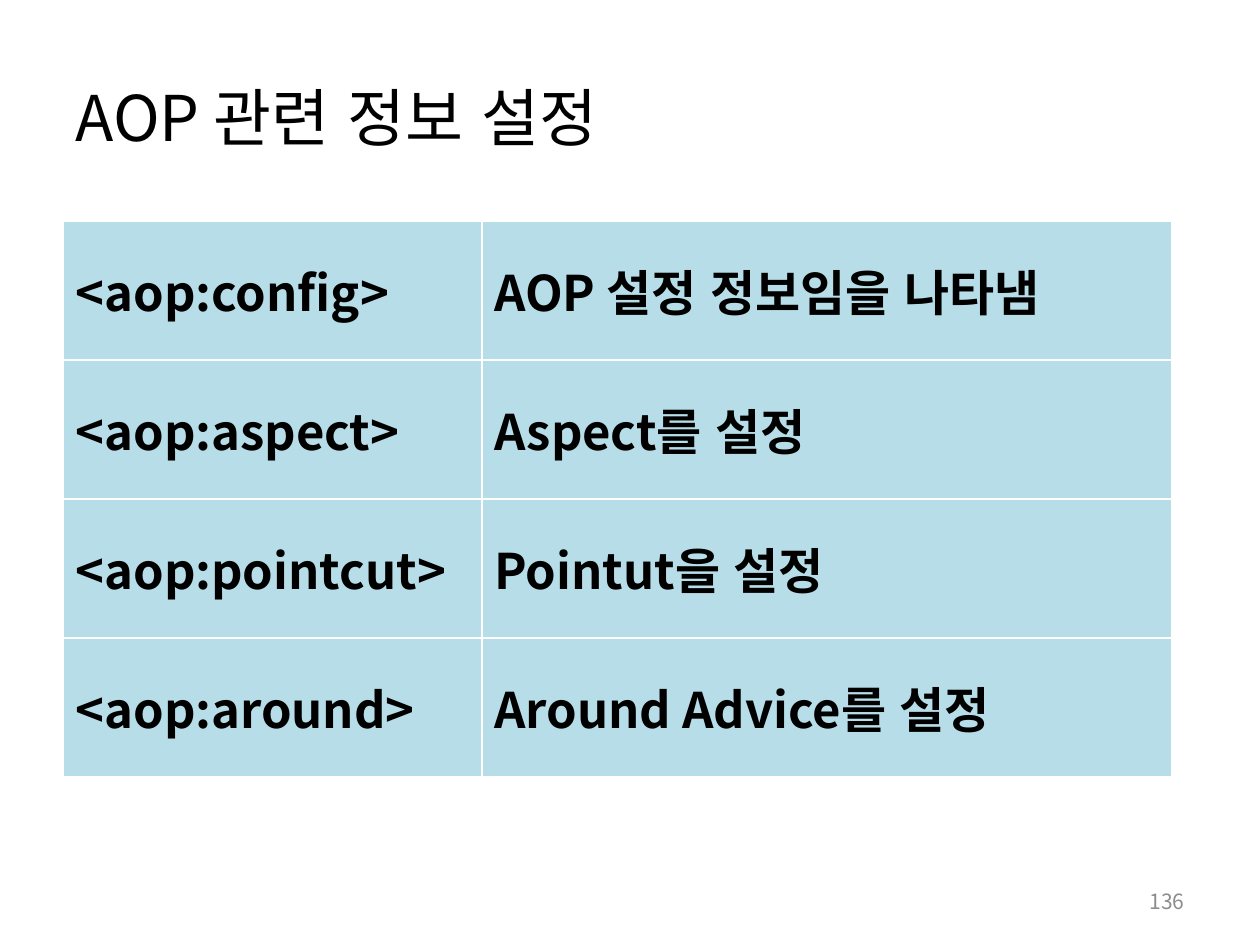
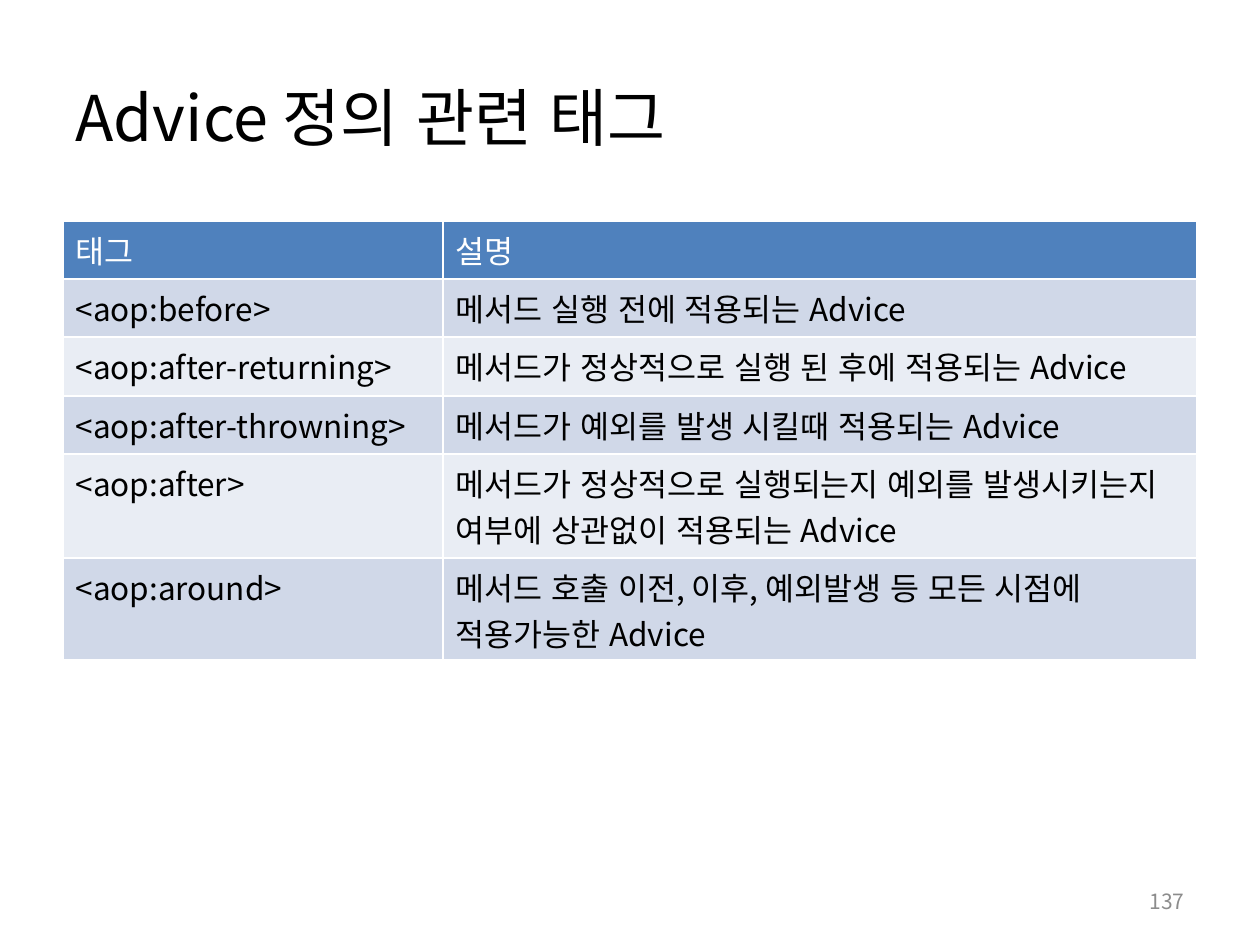
import pptx
import pptx.util
import pptx.dml.color
import pptx.enum.lang
import pptx.enum.text
import pptx.oxml
import pptx.oxml.ns

ANCHOR = pptx.enum.text.MSO_ANCHOR
ALIGN = pptx.enum.text.PP_ALIGN
KOREAN = pptx.enum.lang.MSO_LANGUAGE_ID.KOREAN
FONT = "Noto Sans CJK KR"
COLORS = {
    "ink": "000000",
    "white": "FFFFFF",
    "number": "8C8C8C",
    "aqua": "B7DEE8",
    "head": "4F81BD",
    "odd": "D0D8E8",
    "even": "E9EDF4",
}
TITLE_BOX = (63, 38, 1134, 157)
NUMBER_BOX = (903, 876, 294, 50)
TABLE_AT = (63, 221)

CONFIG_ROWS = [
    ("<aop:config>", "AOP 설정 정보임을 나타냄"),
    ("<aop:aspect>", "Aspect를 설정"),
    ("<aop:pointcut>", "Pointut을 설정"),
    ("<aop:around>", "Around Advice를 설정"),
]
ADVICE_ROWS = [
    ("태그", "설명"),
    ("<aop:before>", "메서드 실행 전에 적용되는 Advice"),
    ("<aop:after-returning>", "메서드가 정상적으로 실행 된 후에 적용되는 Advice"),
    ("<aop:after-throwning>", "메서드가 예외를 발생 시킬때 적용되는 Advice"),
    ("<aop:after>", "메서드가 정상적으로 실행되는지 예외를 발생시키는지 여부에 상관없이 적용되는 Advice"),
    ("<aop:around>", "메서드 호출 이전, 이후, 예외발생 등 모든 시점에 적용가능한 Advice"),
]


def px(count):
    """Turn px into EMU at 126 px to the inch."""
    return pptx.util.Emu(round(count * 914400 / 126))


def rgb(name):
    """Look up a named colour."""
    return pptx.dml.color.RGBColor.from_string(COLORS[name])


def write(frame, text, size, color="ink", bold=False, align=ALIGN.LEFT):
    """Put one formatted paragraph into a text frame."""
    para = frame.paragraphs[0]
    para.alignment = align
    run = para.add_run()
    run.text = text
    font = run.font
    font.name, font.size, font.bold = FONT, pptx.util.Pt(size), bold
    font.language_id = KOREAN
    font.color.rgb = rgb(color)
    east = pptx.oxml.parse_xml(
        f'<a:ea {pptx.oxml.ns.nsdecls("a")} typeface="{FONT}"/>')
    font._element.find(pptx.oxml.ns.qn("a:latin")).addnext(east)


def edge(cell):
    """Draw thin white lines on all sides of a cell."""
    props = cell._tc.get_or_add_tcPr()
    for side in "LRTB":
        props.append(pptx.oxml.parse_xml(
            f'<a:ln{side} {pptx.oxml.ns.nsdecls("a")} w="12700"><a:solidFill>'
            f'<a:srgbClr val="{COLORS["white"]}"/></a:solidFill></a:ln{side}>'))


def grid(slide, rows, widths, heights, fills, anchor, **style):
    """Add a table of tags and meanings with one fill per row."""
    shape = slide.shapes.add_table(
        len(rows), len(widths), *map(px, TABLE_AT),
        px(sum(widths)), px(sum(heights)))
    table = shape.table
    for column, width in zip(table.columns, widths):
        column.width = px(width)
    for row, texts, height, fill in zip(table.rows, rows, heights, fills):
        row.height = px(height)
        color = "white" if fill == "head" else "ink"
        for cell, text in zip(row.cells, texts):
            edge(cell)
            cell.fill.solid()
            cell.fill.fore_color.rgb = rgb(fill)
            cell.vertical_anchor = anchor
            write(cell.text_frame, text, color=color, **style)


def base(deck, title, number):
    """Add a slide with its title and page number."""
    slide = deck.slides.add_slide(deck.slide_layouts[5])
    head = slide.shapes.title
    head.left, head.top, head.width, head.height = map(px, TITLE_BOX)
    head.text_frame.vertical_anchor = ANCHOR.MIDDLE
    write(head.text_frame, title, 36)
    foot = slide.shapes.add_textbox(*map(px, NUMBER_BOX)).text_frame
    foot.word_wrap = True
    foot.vertical_anchor = ANCHOR.MIDDLE
    write(foot, str(number), 12, color="number", align=ALIGN.RIGHT)
    return slide


def config(deck):
    """Build the slide on configuration tags."""
    slide = base(deck, "AOP 관련 정보 설정", 136)
    count = len(CONFIG_ROWS)
    grid(slide, CONFIG_ROWS, (419, 690), [139] * count, ["aqua"] * count,
         ANCHOR.MIDDLE, size=28, bold=True)


def advice(deck):
    """Build the slide on advice tags."""
    slide = base(deck, "Advice 정의 관련 태그", 137)
    fills = ["head", "odd", "even", "odd", "even", "odd"]
    grid(slide, ADVICE_ROWS, (380, 754), [58, 58, 59, 58, 104, 102], fills,
         ANCHOR.TOP, size=18)


def main():
    """Build and save the deck."""
    deck = pptx.Presentation()
    deck.slide_width, deck.slide_height = px(1260), px(945)
    config(deck)
    advice(deck)
    deck.save("out.pptx")


if __name__ == "__main__":
    main()
